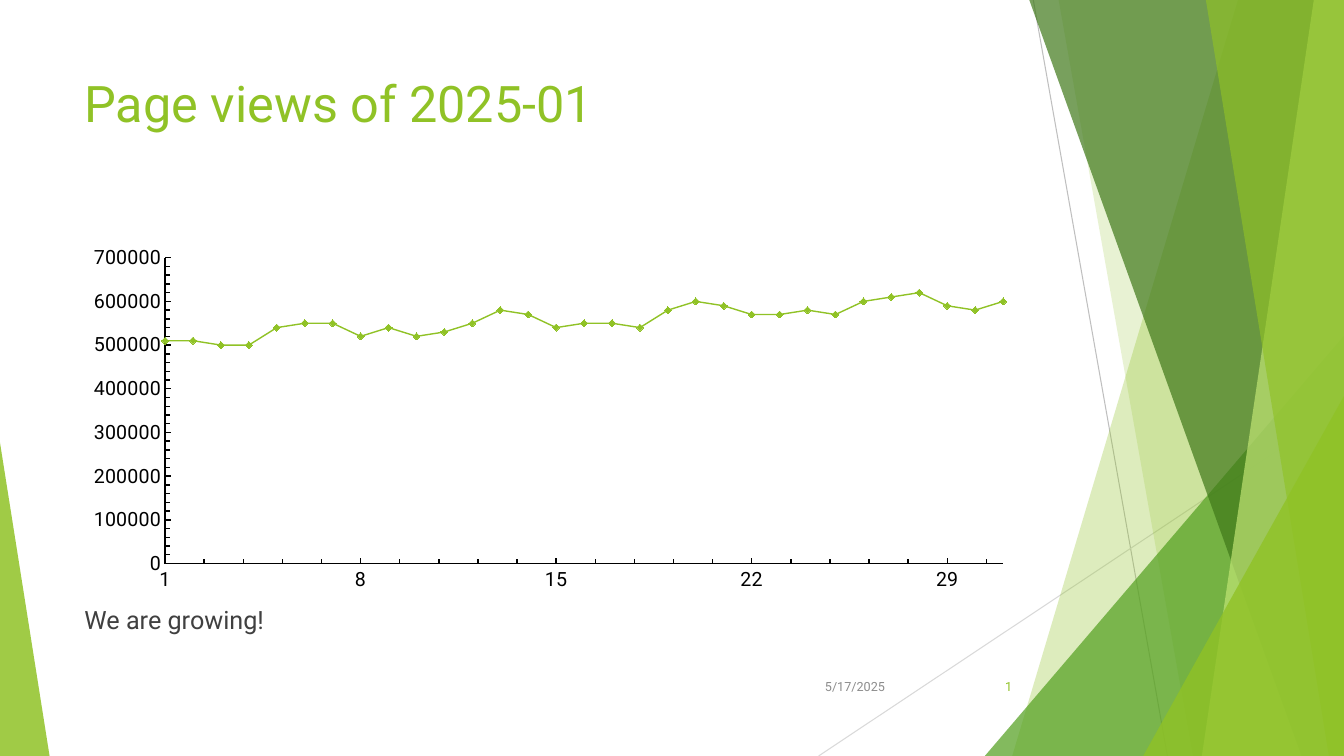
from lxml import etree
from pptx import Presentation
from pptx import util as u
from pptx.chart.data import XyChartData
from pptx.dml.color import RGBColor
from pptx.enum import chart as ch, shapes, text
from pptx.oxml import parse_xml
from pptx.oxml.ns import nsdecls, qn

COLORS = {
    "lime": "90C226", "green": "54A021", "forest": "3F7819", "pale": "C0E474",
    "rule": "BFBFBF", "light_rule": "D9D9D9", "body": "404040",
    "muted": "8C8C8C", "axis": "000000",
}
FONT = "Roboto"
WIDTH, HEIGHT = 33.87, 19.05
FIRST_DAY = 45658
VIEWS = [
    510000, 510000, 500000, 500000, 540000, 550000, 550000, 520000,
    540000, 520000, 530000, 550000, 580000, 570000, 540000, 550000,
    550000, 540000, 580000, 600000, 590000, 570000, 570000, 580000,
    570000, 600000, 610000, 620000, 590000, 580000, 600000,
]


def rgb(name):
    return RGBColor.from_string(COLORS[name])


def paint(sp, color, opacity):
    sp.shadow.inherit = False
    sp.line.fill.background()
    sp.fill.solid()
    sp.fill.fore_color.rgb = rgb(color)
    clr = sp.fill._xPr.find(qn("a:solidFill"))[0]
    etree.SubElement(clr, qn("a:alpha")).set("val", str(opacity * 1000))


def add_rule(slide, x1, y1, x2, y2, color):
    line = slide.shapes.add_connector(
        shapes.MSO_CONNECTOR.STRAIGHT, u.Cm(x1), u.Cm(y1), u.Cm(x2), u.Cm(y2))
    line.line.color.rgb = rgb(color)
    line.line.width = u.Pt(0.75)
    etree.SubElement(line._element.spPr, qn("a:effectLst"))


def add_band(slide, top, bottom, right, height, color, opacity):
    fb = slide.shapes.build_freeform(u.Cm(top), 0)
    fb.add_line_segments([
        (u.Cm(right), 0), (u.Cm(right), u.Cm(height)), (u.Cm(bottom), u.Cm(height))])
    paint(fb.convert_to_shape(), color, opacity)


def add_triangle(slide, left, top, width, height, apex, color, opacity):
    sp = slide.shapes.add_shape(
        shapes.MSO_SHAPE.ISOSCELES_TRIANGLE,
        u.Cm(left), u.Cm(top), u.Cm(width), u.Cm(height))
    sp.adjustments[0] = apex
    paint(sp, color, opacity)


def add_facets(slide, left, top, width, height):
    right, bottom = left + width, top + height

    def band(top_inset, bottom_inset, color, opacity):
        add_band(slide, right - top_inset, right - bottom_inset,
                 right, bottom, color, opacity)

    def corner(w, h, color, opacity):
        add_triangle(slide, right - w, bottom - h, w, h, 1, color, opacity)

    add_rule(slide, right - 7.83, top, right - 4.45, bottom, "rule")
    add_rule(slide, right, top + 10.24, right - 13.24, bottom, "light_rule")
    band(2.67, 8.36, "lime", 30)
    band(7.19, 3.81, "lime", 20)
    corner(9.05, 10.59, "green", 72)
    band(7.93, 1.07, "forest", 70)
    band(0.76, 3.58, "pale", 70)
    band(3.48, 0.38, "lime", 65)
    corner(5.06, 9.07, "lime", 80)
    add_triangle(slide, left, bottom - 7.9, 1.25, 7.9, 0, "lime", 85)


def add_text(slide, box, words, size, color, align=text.PP_ALIGN.LEFT,
             anchor=text.MSO_ANCHOR.TOP):
    tf = slide.shapes.add_textbox(*map(u.Cm, box)).text_frame
    tf.word_wrap = True
    tf.vertical_anchor = anchor
    p = tf.paragraphs[0]
    p.text = words
    p.alignment = align
    p.font.name = FONT
    p.font.size = u.Pt(size)
    p.font.color.rgb = rgb(color)


def style_axis(axis, low, high, major, number_format):
    axis.minimum_scale, axis.maximum_scale = low, high
    axis.major_unit = major
    axis.has_major_gridlines = False
    axis.major_tick_mark = axis.minor_tick_mark = ch.XL_TICK_MARK.INSIDE
    axis.format.line.color.rgb = rgb("axis")
    axis.format.line.width = u.Pt(1)
    labels = axis.tick_labels
    labels.number_format = number_format
    labels.number_format_is_linked = False
    labels.font.name = FONT
    labels.font.size = u.Pt(14)
    labels.font.color.rgb = rgb("axis")
    minor = parse_xml(f'<c:minorUnit {nsdecls("c")} val="{major / 5}"/>')
    axis._element.find(qn("c:majorUnit")).addnext(minor)


def place_plot(chart, x, y, w, h):
    area = chart._chartSpace.chart.plotArea
    for old in area.findall(qn("c:layout")):
        area.remove(old)
    sizes = "".join(f'<c:{tag} val="{val}"/>' for tag, val in zip("xywh", (x, y, w, h)))
    area.insert(0, parse_xml(
        f'<c:layout {nsdecls("c")}><c:manualLayout><c:layoutTarget val="inner"/>'
        f'<c:xMode val="edge"/><c:yMode val="edge"/>{sizes}'
        '</c:manualLayout></c:layout>'))


def add_views_chart(slide, left, top, width, height):
    data = XyChartData()
    points = data.add_series("Series 1")
    for day, views in enumerate(VIEWS, FIRST_DAY):
        points.add_data_point(day, views)
    chart = slide.shapes.add_chart(
        ch.XL_CHART_TYPE.XY_SCATTER_LINES,
        *map(u.Cm, (left, top, width, height)), data).chart
    chart.has_legend = chart.has_title = False
    chart.font.name = FONT
    chart.font.size = u.Pt(10)
    chart.plots[0].vary_by_categories = False
    style_axis(chart.category_axis, FIRST_DAY, FIRST_DAY + len(VIEWS) - 1, 7, "d")
    style_axis(chart.value_axis, 0, 700000, 100000, "0")
    place_plot(chart, 0.0955, 0.0555, 0.8845, 0.847)
    series = chart.plots[0].series[0]
    series.smooth = False
    series.format.line.color.rgb = rgb("lime")
    series.format.line.width = u.Pt(1)
    marker = series.marker
    marker.style = ch.XL_MARKER_STYLE.DIAMOND
    marker.size = 5
    marker.format.fill.solid()
    marker.format.fill.fore_color.rgb = rgb("lime")
    marker.format.line.color.rgb = rgb("lime")


def add_content(slide, left, top, width, height):
    add_text(slide, (left, top, width, 3.66), "Page views of 2025-01", 36, "lime")
    add_views_chart(slide, left, top + 4.29, width, 9.1)
    add_text(slide, (left, top + 13.41, width, 1.7), "We are growing!", 18, "body")


def add_footer(slide, left, top, width, height):
    right, middle = text.PP_ALIGN.RIGHT, text.MSO_ANCHOR.MIDDLE
    add_text(slide, (left, top, 2.54, height), "5/17/2025", 9, "muted", right, middle)
    add_text(slide, (left + width - 1.9, top, 1.9, height), "1", 9, "lime", right, middle)


def main():
    prs = Presentation()
    prs.slide_width, prs.slide_height = u.Cm(WIDTH), u.Cm(HEIGHT)
    slide = prs.slides.add_slide(prs.slide_layouts[6])
    add_facets(slide, 0, 0, WIDTH, HEIGHT)
    add_content(slide, 1.88, 1.7, 23.88, 15.11)
    add_footer(slide, 20.01, 16.79, 5.75, 1.02)
    prs.save("out.pptx")


if __name__ == "__main__":
    main()
